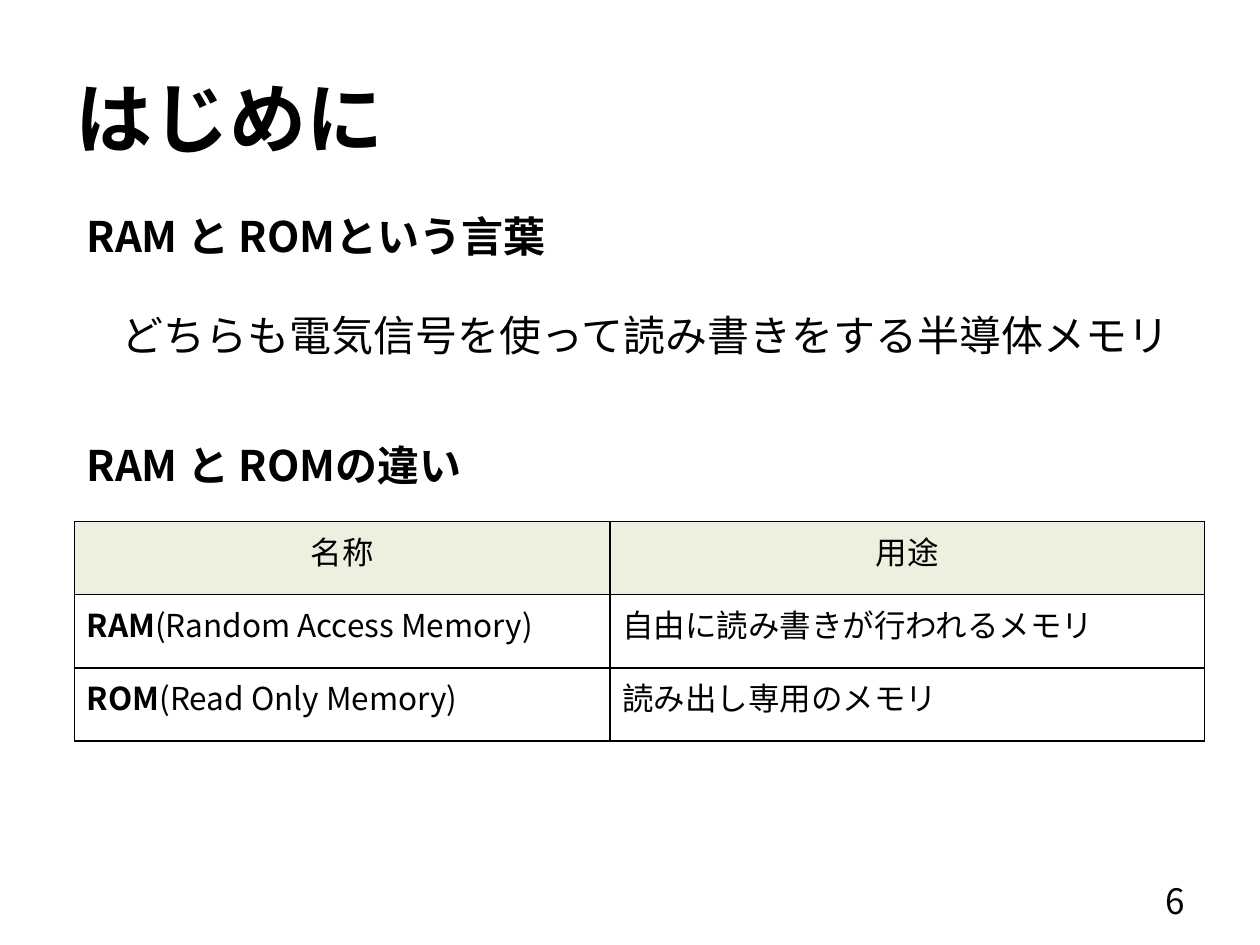
"""Build a slide that introduces RAM and ROM and compares them in a table."""
from lxml import etree
from pptx import Presentation
from pptx.dml.color import RGBColor
from pptx.enum.text import MSO_ANCHOR, PP_ALIGN
from pptx.oxml.ns import qn
from pptx.util import Inches, Pt

LEFT, CENTER, RIGHT = PP_ALIGN.LEFT, PP_ALIGN.CENTER, PP_ALIGN.RIGHT
TOP, MIDDLE = MSO_ANCHOR.TOP, MSO_ANCHOR.MIDDLE

THEME = {
    "font": "Noto Sans CJK JP",
    "text": "000000",
    "border": "000000",
    "header": "EBF1DE",
    "title": 44,
    "body": 24,
    "number": 20,
    "table": 18,
    "border_width": 1,
}

TEXTS = [
    ("はじめに", (0.5, 0.3, 9, 1.25), "title", True, LEFT, MIDDLE),
    ("RAM と ROMという言葉", (0.59, 1.62, 4.41, 0.5), "body", True, LEFT, TOP),
    ("どちらも電気信号を使って読み書きをする半導体メモリ",
     (0.87, 2.41, 8.7, 0.5), "body", False, LEFT, TOP),
    ("RAM と ROMの違い", (0.59, 3.44, 4.41, 0.5), "body", True, LEFT, TOP),
    ("6", (7.17, 6.95, 2.33, 0.4), "number", False, RIGHT, MIDDLE),
]

HEADERS = ["名称", "用途"]
MEMORIES = [
    ("RAM", "(Random Access Memory)", "自由に読み書きが行われるメモリ"),
    ("ROM", "(Read Only Memory)", "読み出し専用のメモリ"),
]
TABLE_LEFT, TABLE_TOP = 0.59, 4.14
COLUMN_WIDTHS = [4.25, 4.72]
ROW_HEIGHT = 0.58


def add_run(paragraph, text, size, bold=False):
    run = paragraph.add_run()
    run.text = text
    font = run.font
    font.name = THEME["font"]
    font.size = Pt(THEME[size])
    font.bold = bold
    font.color.rgb = RGBColor.from_string(THEME["text"])
    east_asian = etree.SubElement(run._r.get_or_add_rPr(), qn("a:ea"))
    east_asian.set("typeface", THEME["font"])


def add_text(slide, text, box, size, bold, alignment, anchor):
    shape = slide.shapes.add_textbox(*map(Inches, box))
    text_frame = shape.text_frame
    text_frame.word_wrap = True
    text_frame.vertical_anchor = anchor
    paragraph = text_frame.paragraphs[0]
    paragraph.alignment = alignment
    add_run(paragraph, text, size, bold)


def set_borders(cell):
    properties = cell._tc.get_or_add_tcPr()
    for position, side in enumerate(("a:lnL", "a:lnR", "a:lnT", "a:lnB")):
        line = etree.Element(qn(side), w=str(Pt(THEME["border_width"])))
        fill = etree.SubElement(line, qn("a:solidFill"))
        etree.SubElement(fill, qn("a:srgbClr"), val=THEME["border"])
        properties.insert(position, line)


def fill_cell(cell, runs, alignment, color=None):
    paragraph = cell.text_frame.paragraphs[0]
    paragraph.alignment = alignment
    for text, bold in runs:
        add_run(paragraph, text, "table", bold)
    if color:
        cell.fill.solid()
        cell.fill.fore_color.rgb = RGBColor.from_string(color)
    else:
        cell.fill.background()
    set_borders(cell)


def add_memory_table(slide):
    row_count = len(MEMORIES) + 1
    box = (TABLE_LEFT, TABLE_TOP, sum(COLUMN_WIDTHS), ROW_HEIGHT * row_count)
    table = slide.shapes.add_table(
        row_count, len(HEADERS), *map(Inches, box)).table
    table.horz_banding = False
    table.first_row = False
    for column, width in zip(table.columns, COLUMN_WIDTHS):
        column.width = Inches(width)
    for row in table.rows:
        row.height = Inches(ROW_HEIGHT)
    for index, header in enumerate(HEADERS):
        fill_cell(table.cell(0, index), [(header, False)], CENTER, THEME["header"])
    for index, (name, meaning, purpose) in enumerate(MEMORIES, start=1):
        fill_cell(table.cell(index, 0), [(name, True), (meaning, False)], LEFT)
        fill_cell(table.cell(index, 1), [(purpose, False)], LEFT)


def main():
    presentation = Presentation()
    presentation.slide_width = Inches(10)
    presentation.slide_height = Inches(7.5)
    slide = presentation.slides.add_slide(presentation.slide_layouts[6])
    for item in TEXTS:
        add_text(slide, *item)
    add_memory_table(slide)
    presentation.save("out.pptx")


if __name__ == "__main__":
    main()
